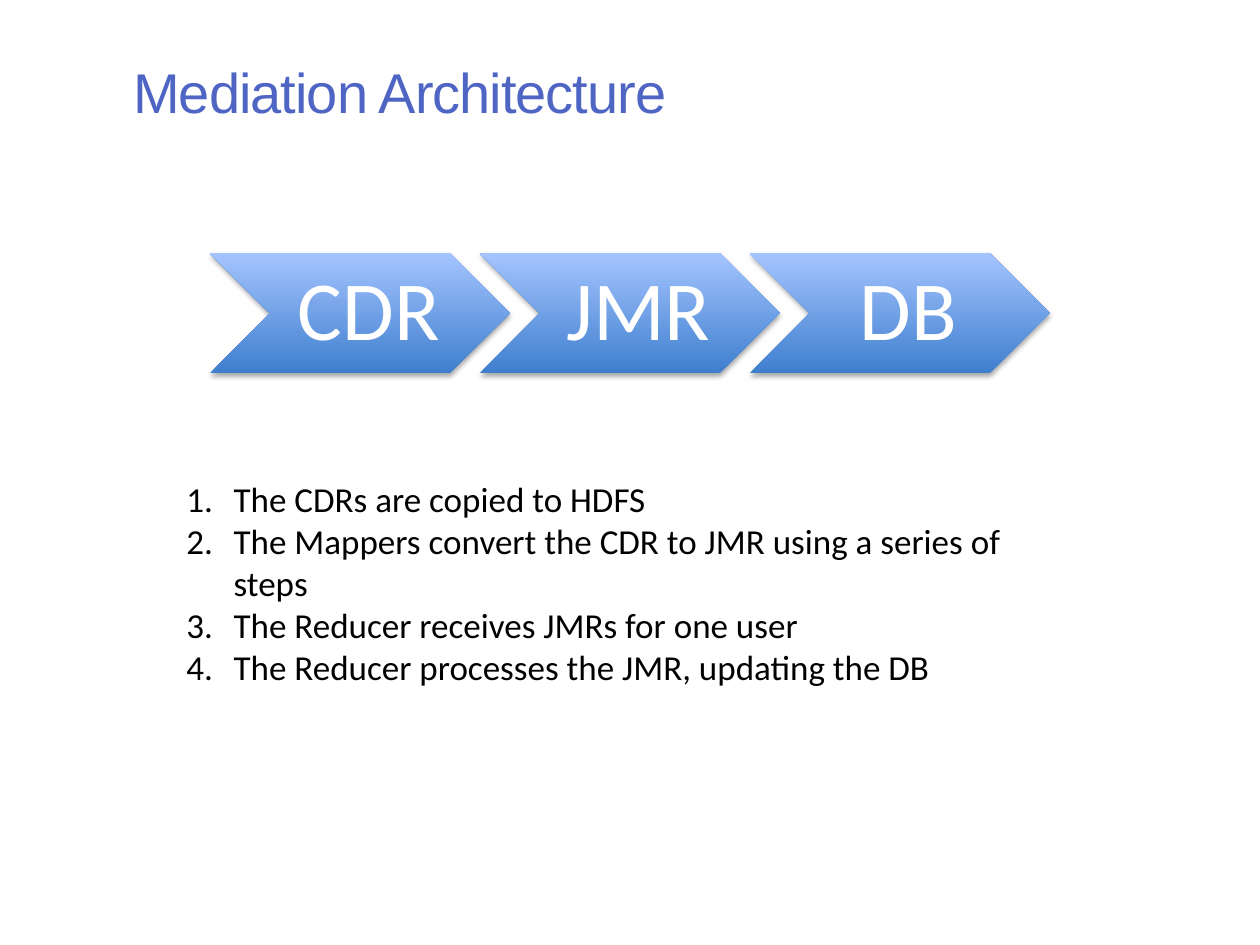
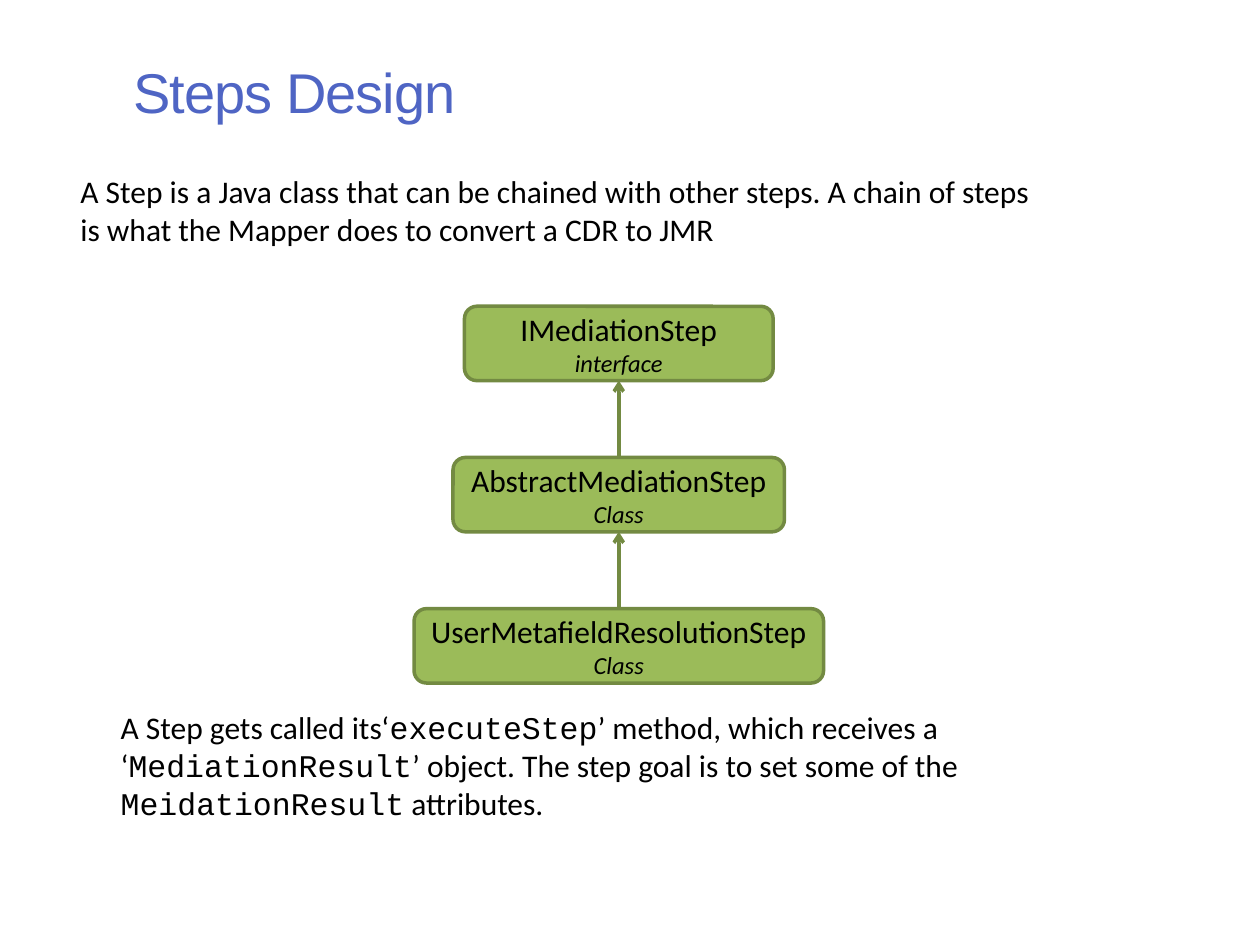
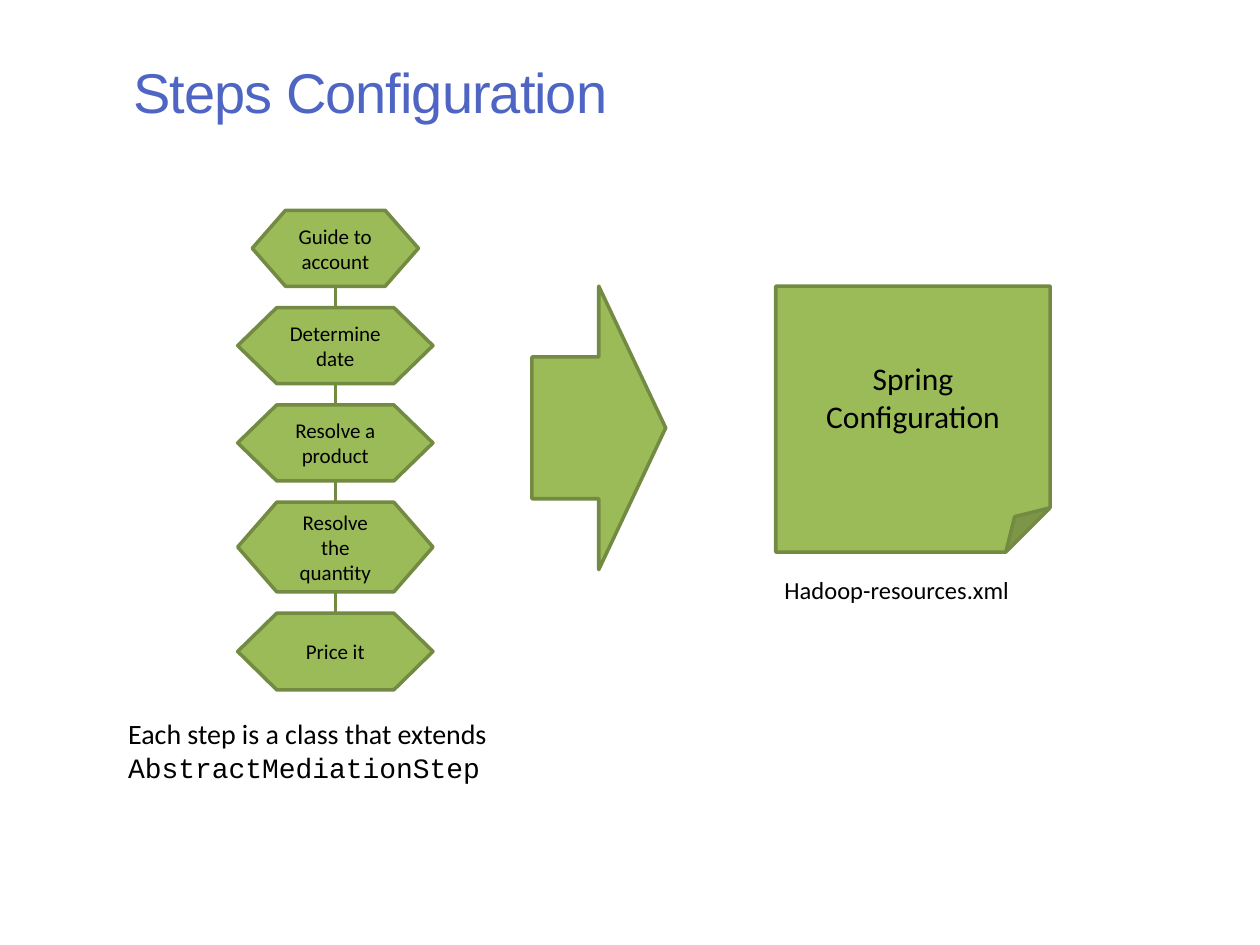
from lxml import etree
from pptx import Presentation
from pptx.dml.color import RGBColor
from pptx.enum import shapes as shp, text as txt
from pptx.oxml import ns
from pptx.util import Pt

# Shared look
TITLE_BLUE = RGBColor(0x4F, 0x65, 0xC4)
CHEVRON_DARK = RGBColor(0x3F, 0x7F, 0xCE)
CHEVRON_LIGHT = RGBColor(0xA4, 0xC4, 0xFF)
GREEN = RGBColor(0x9B, 0xBB, 0x59)
DARK_GREEN = RGBColor(0x73, 0x8A, 0x42)
BLACK = RGBColor(0, 0, 0)
WHITE = RGBColor(0xFF, 0xFF, 0xFF)
TITLE_FONT, BODY_FONT, CODE_FONT = "Arial", "Calibri", "Courier New"
OUTLINE = Pt(2)
TOP, BOTTOM = 0, 2  # connection sites
TITLE_ONLY = 5


def add_xml(parent, tag, **attributes):
    return etree.SubElement(parent, ns.qn(tag), attributes)


def add_run(paragraph, text, size, color=BLACK, font=BODY_FONT, italic=None):
    run = paragraph.add_run()
    run.text = text
    run.font.size = Pt(size)
    run.font.name = font
    run.font.color.rgb = color
    run.font.italic = italic
    return run


def add_titled_slide(deck, heading):
    slide = deck.slides.add_slide(deck.slide_layouts[TITLE_ONLY])
    title = slide.shapes.title
    title.left, title.top, title.width, title.height = Pt(69), Pt(29), Pt(581), Pt(46)
    frame = title.text_frame
    frame.vertical_anchor = txt.MSO_ANCHOR.TOP
    frame.auto_size = txt.MSO_AUTO_SIZE.NONE
    line = frame.paragraphs[0]
    line.alignment = txt.PP_ALIGN.LEFT
    run = add_run(line, heading, 32, TITLE_BLUE, TITLE_FONT)
    run.font._element.set("spc", "-60")
    return slide


def add_text(slide, left, top, width, height):
    box = slide.shapes.add_textbox(Pt(left), Pt(top), Pt(width), Pt(height))
    box.text_frame.word_wrap = True
    box.text_frame.auto_size = txt.MSO_AUTO_SIZE.SHAPE_TO_FIT_TEXT
    return box.text_frame


def add_mixed_text(slide, place, size, pieces):
    """One paragraph whose pieces alternate between body and code font."""
    paragraph = add_text(slide, *place).paragraphs[0]
    for index, piece in enumerate(pieces):
        add_run(paragraph, piece, size, font=CODE_FONT if index % 2 else BODY_FONT)


def add_numbered_list(slide, place, size, items):
    frame = add_text(slide, *place)
    for index, item in enumerate(items):
        paragraph = frame.add_paragraph() if index else frame.paragraphs[0]
        props = paragraph._p.get_or_add_pPr()
        props.set("marL", str(Pt(27)))
        props.set("indent", str(-Pt(27)))
        add_xml(props, "a:buFont", typeface="+mj-lt")
        add_xml(props, "a:buAutoNum", type="arabicPeriod")
        add_run(paragraph, item, size)


def add_chevron(slide, left, top, width, height, label):
    chevron = slide.shapes.add_shape(
        shp.MSO_SHAPE.CHEVRON, Pt(left), Pt(top), Pt(width), Pt(height))
    chevron.line.fill.background()
    chevron.fill.gradient()
    chevron.fill.gradient_angle = 90
    for stop, color in zip(chevron.fill.gradient_stops, (CHEVRON_DARK, CHEVRON_LIGHT)):
        stop.color.rgb = color
    # Soft shadow below
    chevron.shadow.inherit = False
    effects = chevron._element.spPr.find(ns.qn("a:effectLst"))
    shadow = add_xml(effects, "a:outerShdw", blurRad=str(Pt(3.1)), dist=str(Pt(1.8)),
                     dir="5400000", rotWithShape="0")
    shade = add_xml(shadow, "a:srgbClr", val="000000")
    add_xml(shade, "a:alpha", val="35000")
    # Label
    frame = chevron.text_frame
    frame.word_wrap = True
    frame.vertical_anchor = txt.MSO_ANCHOR.MIDDLE
    frame.margin_left = Pt(15)
    frame.margin_top = frame.margin_right = frame.margin_bottom = Pt(5)
    paragraph = frame.paragraphs[0]
    paragraph.alignment = txt.PP_ALIGN.CENTER
    paragraph.line_spacing = 0.9
    add_run(paragraph, label, 48, WHITE)


def add_green_shape(slide, kind, left, top, width, height, lines=(), wrap=True):
    """Green outlined shape; lines are (text, size, italic)."""
    shape = slide.shapes.add_shape(kind, Pt(left), Pt(top), Pt(width), Pt(height))
    shape.shadow.inherit = False
    shape.fill.solid()
    shape.fill.fore_color.rgb = GREEN
    shape.line.color.rgb = DARK_GREEN
    shape.line.width = OUTLINE
    frame = shape.text_frame
    frame.word_wrap = wrap
    frame.vertical_anchor = txt.MSO_ANCHOR.MIDDLE
    for index, (text, size, italic) in enumerate(lines):
        paragraph = frame.add_paragraph() if index else frame.paragraphs[0]
        paragraph.alignment = txt.PP_ALIGN.CENTER
        add_run(paragraph, text, size, italic=italic)
    return shape


def join(slide, start, start_site, end, end_site, arrow=False):
    link = slide.shapes.add_connector(shp.MSO_CONNECTOR.STRAIGHT, 0, 0, 0, 0)
    link.begin_connect(start, start_site)
    link.end_connect(end, end_site)
    link.line.color.rgb = DARK_GREEN
    link.line.width = OUTLINE
    if arrow:
        add_xml(link.line._get_or_add_ln(), "a:tailEnd", type="arrow")
    add_xml(link._element.spPr, "a:effectLst")


def build_architecture(deck):
    slide = add_titled_slide(deck, "Mediation Architecture")
    for index, stage in enumerate(("CDR", "JMR", "DB")):
        add_chevron(slide, 120 + index * 154.2, 144.7, 171.4, 68.5, stage)
    add_numbered_list(slide, (99.4, 269.3, 521.3, 128), 20, (
        "The CDRs are copied to HDFS",
        "The Mappers convert the CDR to JMR using a series of steps",
        "The Reducer receives JMRs for one user",
        "The Reducer processes the JMR, updating the DB"))


def build_design(deck):
    slide = add_titled_slide(deck, "Steps Design")
    add_mixed_text(slide, (38.9, 95, 560, 51), 18, (
        "A Step is a Java class that can be chained with other steps. "
        "A chain of steps is what the Mapper does to convert a CDR to JMR",))

    # Class hierarchy, parent first
    center, top, pitch, height = 353.6, 175, 86.4, 42.5
    hierarchy = (("IMediationStep", "interface", 176.4),
                 ("AbstractMediationStep", "Class", 189.4),
                 ("UserMetafieldResolutionStep", "Class", 234))
    types = [
        add_green_shape(slide, shp.MSO_SHAPE.ROUNDED_RECTANGLE, center - width / 2,
                        top + index * pitch, width, height,
                        ((name, 18, None), (role, 14, True)), wrap=False)
        for index, (name, role, width) in enumerate(hierarchy)]
    for parent, child in zip(types, types[1:]):
        join(slide, child, TOP, parent, BOTTOM, arrow=True)

    add_mixed_text(slide, (61.9, 401, 576, 72.7), 18, (
        "A Step gets called its‘", "executeStep",
        "’ method, which receives a ‘", "MediationResult",
        "’ object. The step goal is to set some of the ", "MeidationResult",
        " attributes."))


def build_configuration(deck):
    slide = add_titled_slide(deck, "Steps Configuration")

    # Chain of steps
    center, top, gap = 191.6, 120.2, 12.2
    chain = []
    for label, width, height in (("Guide to account", 95, 43.4),
                                 ("Determine date", 111.6, 43.4),
                                 ("Resolve a product", 111.6, 43.4),
                                 ("Resolve the quantity", 111.6, 51.2),
                                 ("Price it", 111.6, 43.8)):
        chain.append(add_green_shape(
            slide, shp.MSO_SHAPE.FLOWCHART_PREPARATION, center - width / 2, top,
            width, height, ((label, 12, None),)))
        top += height + gap
    for step, following in zip(chain, chain[1:]):
        join(slide, step, BOTTOM, following, TOP)
    add_mixed_text(slide, (66.2, 406, 238.3, 46), 16, (
        "Each step is a class that extends ", "AbstractMediationStep"))

    # Resulting configuration file
    add_green_shape(slide, shp.MSO_SHAPE.RIGHT_ARROW, 303.9, 163.5, 76.5, 162)
    add_green_shape(slide, shp.MSO_SHAPE.FOLDED_CORNER, 443.3, 163.5, 156.8, 152,
                    (("Spring Configuration", 18, None),))
    add_mixed_text(slide, (441.2, 324.9, 144, 24.2), 14, ("Hadoop-resources.xml",))


def main():
    deck = Presentation()
    deck.slide_width, deck.slide_height = Pt(720), Pt(540)
    build_architecture(deck)
    build_design(deck)
    build_configuration(deck)
    deck.save("out.pptx")


if __name__ == "__main__":
    main()
